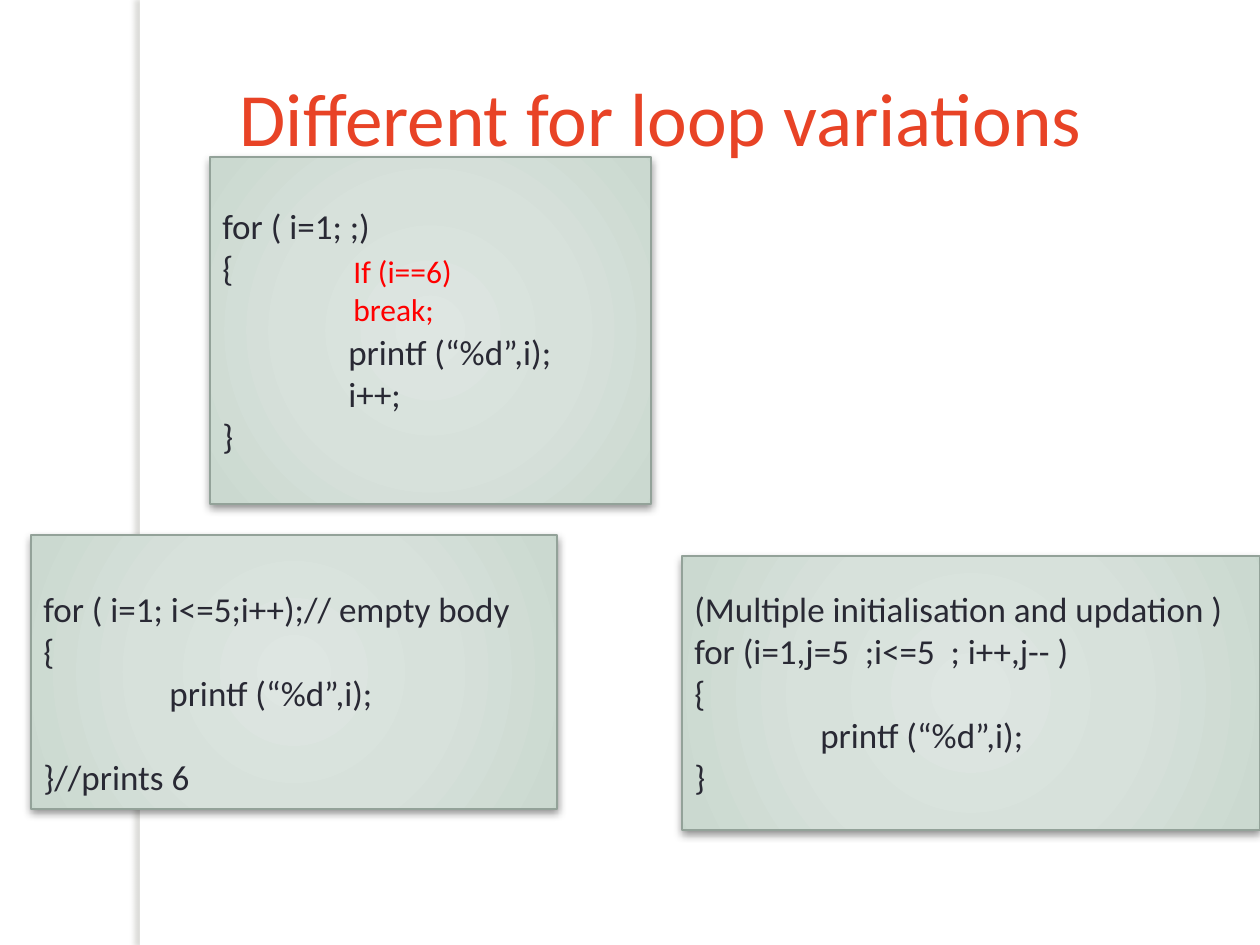
from pptx import Presentation
from pptx.dml.color import RGBColor
from pptx.enum.shapes import MSO_SHAPE as Shape
from pptx.enum.text import MSO_ANCHOR as Anchor, PP_ALIGN as Align
from pptx.oxml import parse_xml
from pptx.oxml.ns import nsdecls, qn
from pptx.util import Emu, Pt

PIXEL = 914400 / 126
FONT = "Calibri"
WHITE = RGBColor(0xFF, 0xFF, 0xFF)
ORANGE = RGBColor(0xE8, 0x43, 0x26)
RED = RGBColor(0xFF, 0x00, 0x00)
INK = RGBColor(0x29, 0x29, 0x34)
SAGE = RGBColor(0x93, 0xA2, 0x99)
RAIL_SHADOW = RGBColor(0x79, 0x79, 0x6D)
BLACK = RGBColor(0x00, 0x00, 0x00)
PANEL_STOPS = [
    (0, RGBColor(0xDE, 0xE6, 0xE2)),
    (50, RGBColor(0xD7, 0xE1, 0xDB)),
    (97, RGBColor(0xCB, 0xD9, 0xD0)),
    (100, RGBColor(0xC7, 0xD7, 0xCD)),
]
INDENT = 126
LINE = 42


def px(length):
    """Turn pixels into EMU."""
    return Emu(round(length * PIXEL))


def place(shape, box):
    """Move and size a shape to a pixel box."""
    shape.left, shape.top, shape.width, shape.height = map(px, box)


def write(frame, lines, size, color, anchor=Anchor.MIDDLE, wrap=True):
    """Fill a frame with (text, indent, gap before) lines in one format."""
    frame.word_wrap = wrap
    frame.vertical_anchor = anchor
    for index, (text, indent, gap) in enumerate(lines):
        paragraph = frame.paragraphs[0] if index == 0 else frame.add_paragraph()
        paragraph.alignment = Align.LEFT
        paragraph.space_before = px(gap)
        properties = paragraph._p.get_or_add_pPr()
        properties.set("marL", str(px(indent)))
        properties.set("indent", "0")
        run = paragraph.add_run()
        run.text = text
        run.font.name = FONT
        run.font.size = Pt(size)
        run.font.color.rgb = color


def add_shadow(shape, color, alpha, blur, distance, angle):
    """Give a shape an outer shadow."""
    shape.shadow.inherit = False
    shape._element.spPr.find(qn("a:effectLst")).append(parse_xml(
        f'<a:outerShdw {nsdecls("a")} blurRad="{Pt(blur)}" dist="{Pt(distance)}" '
        f'dir="{angle * 60000}" algn="ctr" rotWithShape="0"><a:srgbClr val="{color}">'
        f'<a:alpha val="{alpha * 1000}"/></a:srgbClr></a:outerShdw>'))


def fill_radial(shape, stops):
    """Fill a shape with a gradient spreading from its centre."""
    shape.fill.background()
    marks = "".join(f'<a:gs pos="{position * 1000}"><a:srgbClr val="{color}"/></a:gs>'
                    for position, color in stops)
    properties = shape._element.spPr
    properties.replace(properties.find(qn("a:noFill")), parse_xml(
        f'<a:gradFill {nsdecls("a")} rotWithShape="1"><a:gsLst>{marks}</a:gsLst>'
        '<a:path path="circle"><a:fillToRect l="50000" t="50000" r="50000" b="50000"/>'
        '</a:path></a:gradFill>'))


def add_rail(slide, box):
    """Draw the white rail whose shadow parts off the left margin."""
    rail = slide.shapes.add_shape(Shape.RECTANGLE, *map(px, box))
    rail.fill.solid()
    rail.fill.fore_color.rgb = WHITE
    rail.line.fill.background()
    add_shadow(rail, RAIL_SHADOW, 25, 3, 3, 180)


def set_title(slide, text, box):
    """Place and format the title placeholder."""
    place(slide.shapes.title, box)
    write(slide.shapes.title.text_frame, [(text, 0, 0)], 43, ORANGE)


def add_code_panel(slide, box, lines, top_space=0):
    """Draw a shaded panel holding lines of code."""
    panel = slide.shapes.add_shape(Shape.RECTANGLE, *map(px, box))
    fill_radial(panel, PANEL_STOPS)
    panel.line.color.rgb = SAGE
    panel.line.width = Pt(0.75)
    add_shadow(panel, BLACK, 43, 5, 2, 90)
    panel.text_frame.margin_top = px(6 + top_space)
    write(panel.text_frame, lines, 20, INK)


def add_note(slide, box, lines):
    """Add the red statement laid over the first panel."""
    note = slide.shapes.add_textbox(*map(px, box))
    write(note.text_frame, lines, 18, RED, anchor=Anchor.TOP, wrap=False)


def build_slide(presentation):
    """Compose the slide of loop variations."""
    slide = presentation.slides.add_slide(presentation.slide_layouts[5])
    add_rail(slide, (140, 0, 10, 945))
    set_title(slide, "Different for loop variations", (227, 38, 1033, 157))
    print_line = "printf (“%d”,i);"
    add_code_panel(slide, (210, 157, 441, 347), [
        ("for ( i=1; ;)", 0, 0),
        ("{", 0, 0),
        (print_line, INDENT, LINE),
        ("i++;", INDENT, 0),
        ("}", 0, 0),
    ])
    add_code_panel(slide, (31, 535, 526, 274), [
        ("for ( i=1; i<=5;i++);// empty body", 0, 0),
        ("{", 0, 0),
        (print_line, INDENT, 0),
        ("}//prints 6", 0, LINE),
    ], top_space=LINE)
    add_code_panel(slide, (682, 556, 578, 274), [
        ("(Multiple initialisation and updation )", 0, 0),
        ("for (i=1,j=5  ;i<=5  ; i++,j-- )", 0, 0),
        ("{", 0, 0),
        (print_line, INDENT, 0),
        ("}", 0, 0),
    ])
    add_note(slide, (341, 246, 131, 89), [("If (i==6)", 0, 0), ("break;", 0, 0)])


presentation = Presentation()
presentation.slide_width, presentation.slide_height = px(1260), px(945)
build_slide(presentation)
presentation.save("out.pptx")
